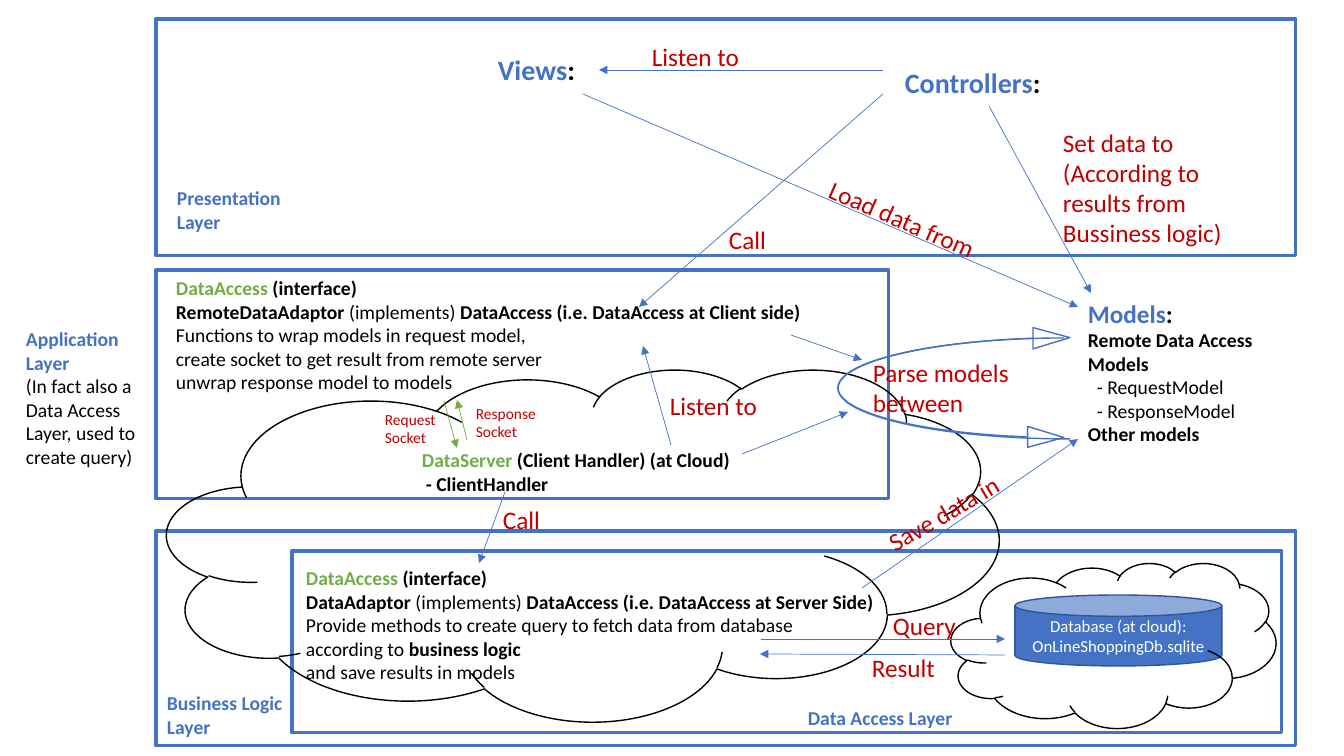
from lxml import etree
from pptx import Presentation
from pptx.dml.color import RGBColor
from pptx.enum.shapes import MSO_CONNECTOR, MSO_SHAPE as SHAPE
from pptx.enum.text import MSO_ANCHOR, MSO_AUTO_SIZE, PP_ALIGN
from pptx.oxml.ns import qn
from pptx.util import Emu, Pt

PX = 12192000 / 1344
COLOURS = {"blue": "4472C4", "green": "70AD47", "red": "C00000",
           "black": "000000", "white": "FFFFFF", "navy": "325491"}
COLOURS = {name: RGBColor.from_string(value) for name, value in COLOURS.items()}

# style: colour, font attributes
STYLES = {
    "heading": ("blue", {"size": Pt(20), "bold": True}),
    "heading colon": ("black", {"size": Pt(20), "bold": True}),
    "models": ("blue", {"size": Pt(18), "bold": True}),
    "models colon": ("black", {"size": Pt(18), "bold": True}),
    "layer": ("blue", {"size": Pt(14), "bold": True}),
    "class": ("green", {"size": Pt(14), "bold": True}),
    "bold": ("black", {"size": Pt(14), "bold": True}),
    "plain": ("black", {"size": Pt(14), "bold": False}),
    "label": ("red", {"size": Pt(18), "bold": False}),
    "socket": ("red", {"size": Pt(11), "bold": False}),
    "database": ("white", {"size": Pt(12), "bold": False}),
}


def px(*lengths):
    return [Emu(round(length * PX)) for length in lengths]


def write(frame, paragraphs, align=PP_ALIGN.LEFT):
    """Fill a text frame; each paragraph is a list of (text, style) runs."""
    for index, runs in enumerate(paragraphs):
        paragraph = frame.paragraphs[0] if index == 0 else frame.add_paragraph()
        paragraph.alignment = align
        for text, style in runs:
            run = paragraph.add_run()
            run.text = text
            colour, font_values = STYLES[style]
            for name, value in font_values.items():
                setattr(run.font, name, value)
            run.font.name = "Calibri"
            run.font.color.rgb = COLOURS[colour]


presentation = Presentation()
presentation.slide_width, presentation.slide_height = px(1344, 756)
slide = presentation.slides.add_slide(presentation.slide_layouts[6])

# Panels, database, clouds and curved arrows: kind, box, line colour, line width
outlines = [
    (SHAPE.RECTANGLE, (156, 19, 1140, 237), "blue", 2.25),
    (SHAPE.RECTANGLE, (156, 270, 733, 229), "blue", 2.25),
    (SHAPE.RECTANGLE, (156, 531, 1140, 215), "blue", 2.25),
    (SHAPE.CAN, (1015, 595, 207, 71), "navy", 1),
    (SHAPE.RECTANGLE, (292, 551, 990, 182), "blue", 2.25),
    (SHAPE.CLOUD, (167, 369, 832, 352), "black", 1),
    (SHAPE.CLOUD, (951, 563, 325, 165), "black", 1),
    (SHAPE.CURVED_RIGHT_ARROW, (838, 338, 226, 110), "blue", 1),
    (SHAPE.CURVED_RIGHT_ARROW, (838, 327, 232, 112), "blue", 1),
]
for kind, box, colour, width in outlines:
    shape = slide.shapes.add_shape(kind, *px(*box))
    shape.shadow.inherit = False
    shape.line.color.rgb = COLOURS[colour]
    shape.line.width = Pt(width)
    if kind == SHAPE.CAN:
        shape.fill.solid()
        shape.fill.fore_color.rgb = COLOURS["blue"]
        shape.adjustments[0] = 0.3
        shape.text_frame.vertical_anchor = MSO_ANCHOR.MIDDLE
        shape.text_frame.word_wrap = True
        write(shape.text_frame, [[("Database (at cloud):", "database")],
                                 [("OnLineShoppingDb.sqlite", "database")]],
              PP_ALIGN.CENTER)
    else:
        shape.fill.background()
    if kind == SHAPE.CURVED_RIGHT_ARROW:
        for index, value in enumerate((0, 0.19, 0.33)):
            shape.adjustments[index] = value
upper_arrow = shape
upper_arrow._element.spPr.find(qn("a:xfrm")).set("flipV", "1")

# Arrows: start x, start y, end x, end y, colour
arrows = [
    (883, 70, 599, 70, "blue"),
    (883, 94, 639, 307, "blue"),
    (761, 639, 1005, 639, "blue"),
    (1005, 655, 760, 654, "blue"),
    (505, 492, 479, 563, "blue"),
    (444, 401, 457, 448, "green"),
    (467, 440, 457, 400, "green"),
    (671, 445, 643, 346, "blue"),
    (989, 106, 1091, 293, "blue"),
    (583, 94, 1078, 307, "blue"),
    (862, 588, 1078, 439, "blue"),
    (742, 454, 848, 412, "blue"),
    (791, 335, 862, 360, "blue"),
]
for *ends, colour in arrows:
    arrow = slide.shapes.add_connector(MSO_CONNECTOR.STRAIGHT, *px(*ends))
    arrow.line.color.rgb = COLOURS[colour]
    arrow.line.width = Pt(0.5)
    etree.SubElement(arrow.line._ln, qn("a:tailEnd"), type="triangle")
    etree.SubElement(arrow._element.spPr, qn("a:effectLst"))

# Text blocks: box, wrap, paragraphs
blocks = [
    ((157, 686, 137, 57), False, [[("Business Logic", "layer")], [("Layer", "layer")]]),
    ((798, 701, 207, 34), True, [[("Data Access Layer", "layer")]]),
    ((167, 181, 125, 57), False, [[("Presentation", "layer")], [("Layer", "layer")]]),
    ((16, 322, 135, 152), False, [
        [("Application", "layer")], [("Layer", "layer")],
        [("(In fact also a", "plain")], [("Data Access", "plain")],
        [("Layer, used to", "plain")], [("create query)", "plain")]]),
    ((488, 48, 98, 44), False, [[("Views", "heading"), (":", "heading colon")]]),
    ((895, 61, 157, 44), False, [[("Controllers", "heading"), (":", "heading colon")]]),
    ((1078, 293, 191, 159), False, [
        [("Models", "models"), (":", "models colon")],
        [("Remote Data Access", "bold")], [("Models", "bold")],
        [("- RequestModel", "plain")], [("- ResponseModel", "plain")],
        [("Other models", "bold")]]),
    ((166, 271, 649, 129), False, [
        [("DataAccess", "class"), (" (interface)", "bold")],
        [("RemoteDataAdaptor ", "bold"), ("(implements) ", "plain"),
         ("DataAccess (i.e. DataAccess at Client side)", "bold")],
        [("Functions to wrap models in request model,", "plain")],
        [("create socket to get result from remote server", "plain")],
        [("unwrap response model to models", "plain")]]),
    ((296, 561, 592, 129), False, [
        [("DataAccess", "class"), (" (interface)", "bold")],
        [("DataAdaptor ", "bold"), ("(implements) ", "plain"),
         ("DataAccess (i.e. DataAccess at Server Side)", "bold")],
        [("Provide methods to create query to fetch data from database", "plain")],
        [("according to ", "plain"), ("business logic", "bold")],
        [("and save results in models", "plain")]]),
    ((412, 443, 485, 57), True, [
        [("DataServer", "class"), (" (Client Handler) (at Cloud)", "bold")],
        [("- ClientHandler", "bold")]]),
]

# Arrow labels: box, rotation, style, lines
labels = [
    ((642, 36, 166, 40), 0, "label", ["Listen to"]),
    ((719, 219, 102, 40), 0, "label", ["Call"]),
    ((883, 605, 107, 40), 0, "label", ["Query"]),
    ((862, 647, 92, 40), 0, "label", ["Result"]),
    ((493, 499, 102, 40), 0, "label", ["Call"]),
    ((375, 405, 89, 47), 0, "socket", ["Request", "Socket"]),
    ((466, 399, 88, 47), 0, "socket", ["Response", "Socket"]),
    ((660, 385, 117, 40), 0, "label", ["Listen to"]),
    ((814, 201, 186, 40), 23.6, "label", ["Load data from"]),
    ((1053, 122, 186, 132), 0, "label",
     ["Set data to", "(According to results from", "Bussiness logic)"]),
    ((869, 482, 186, 40), 329.6, "label", ["Save data in"]),
    ((863, 352, 186, 72), 0, "label", ["Parse models between"]),
]
texts = [(box, 0, wrap, paragraphs) for box, wrap, paragraphs in blocks]
texts += [(box, rotation, True, [[(line, style)] for line in lines])
          for box, rotation, style, lines in labels]
for box, rotation, wrap, paragraphs in texts:
    text_box = slide.shapes.add_textbox(*px(*box))
    text_box.rotation = rotation
    frame = text_box.text_frame
    frame.word_wrap = wrap
    frame.auto_size = MSO_AUTO_SIZE.SHAPE_TO_FIT_TEXT
    write(frame, paragraphs)
    for paragraph in frame.paragraphs:
        if paragraph.text.startswith("- "):
            indent, = px(4 if paragraph.runs[0].font.bold else 9)
            paragraph._p.get_or_add_pPr().set("marL", str(indent))

presentation.save("out.pptx")
